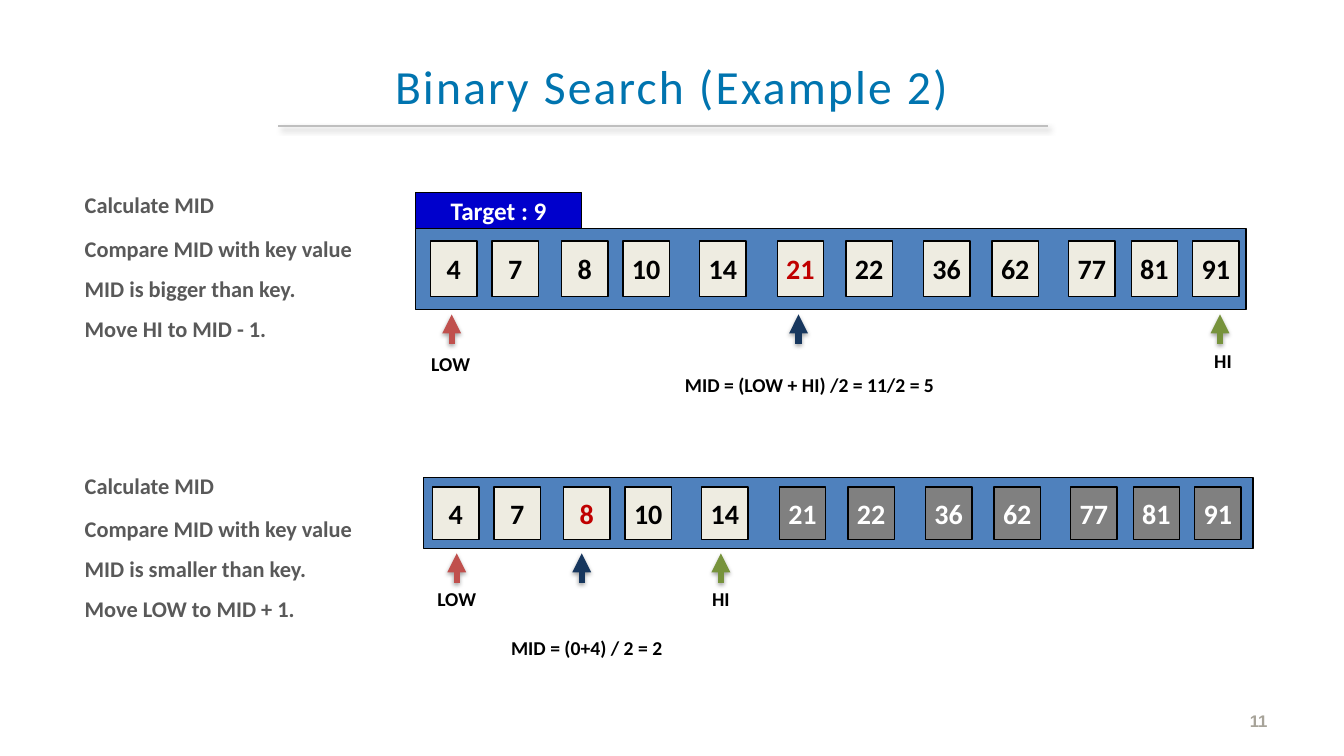
from lxml.etree import SubElement
from pptx import Presentation
from pptx.dml.color import RGBColor
from pptx.enum.shapes import MSO_CONNECTOR as CONNECTOR, MSO_SHAPE as SHAPE
from pptx.enum.text import MSO_ANCHOR as ANCHOR, MSO_AUTO_SIZE as AUTO_SIZE, PP_ALIGN as ALIGN
from pptx.oxml.ns import qn
from pptx.util import Inches, Pt

BLACK = RGBColor(0x00, 0x00, 0x00)
WHITE = RGBColor(0xFF, 0xFF, 0xFF)
TITLE_BLUE = RGBColor(0x00, 0x74, 0xAF)
RULE_GREY = RGBColor(0xBF, 0xBF, 0xBF)
STEP_GREY = RGBColor(0x59, 0x59, 0x59)
NUMBER_GREY = RGBColor(0xA7, 0xA3, 0x99)
ARRAY_BLUE = RGBColor(0x4F, 0x81, 0xBD)
TARGET_BLUE = RGBColor(0x00, 0x00, 0xCC)
CELL_CREAM = RGBColor(0xEE, 0xEC, 0xE1)
DROPPED_GREY = RGBColor(0x80, 0x80, 0x80)
MID_RED = RGBColor(0xC0, 0x00, 0x00)
LOW_RED = RGBColor(0xC0, 0x50, 0x4D)
MID_NAVY = RGBColor(0x17, 0x37, 0x5E)
HI_GREEN = RGBColor(0x77, 0x93, 0x3C)

VALUES = (4, 7, 8, 10, 14, 21, 22, 36, 62, 77, 81, 91)
CELL_OFFSETS = (0, 0.61, 1.3, 1.91, 2.67, 3.44, 4.12, 4.89, 5.57, 6.33, 6.95, 7.56)
CELL_WIDTH = 0.46
STEP_GAPS = (0, 12, 9.2, 9.2)

ROUNDS = (
    {
        "array": (4.12, 2.27, 8.24, 0.8), "cells": (4.27, 2.39, 0.55),
        "mid": 5, "hi": 11,
        "arrows": ((4.48, LOW_RED), (7.92, MID_NAVY), (12.1, HI_GREEN)), "arrow_top": 3.12,
        "labels": (("LOW", 3.74, 3.44, 1.46), ("HI", 11.4, 3.41, 1.46),
                   ("MID = (LOW + HI) /2 = 11/2 = 5", 5.74, 3.65, 4.58)),
        "steps": ("Calculate MID", "Compare MID with key value",
                  "MID is bigger than key.", "Move HI to MID - 1."),
        "steps_top": 1.85,
    },
    {
        "array": (4.2, 4.74, 8.23, 0.7), "cells": (4.29, 4.83, 0.52),
        "mid": 2, "hi": 4,
        "arrows": ((4.53, LOW_RED), (5.77, MID_NAVY), (7.15, HI_GREEN)), "arrow_top": 5.49,
        "labels": (("LOW", 3.8, 5.77, 1.46), ("HI", 6.68, 5.77, 0.94),
                   ("MID = (0+4) / 2 = 2", 4.61, 6.26, 2.42)),
        "steps": ("Calculate MID", "Compare MID with key value",
                  "MID is smaller than key.", "Move LOW to MID + 1."),
        "steps_top": 4.63,
    },
)


def set_all(target, formats):
    for name, value in formats.items():
        setattr(target, name, value)


def write(paragraph, text, size, color, align=ALIGN.CENTER, bold=True, font="Calibri"):
    run = paragraph.add_run()
    run.text = text
    paragraph.alignment = align
    set_all(run.font, {"name": font, "size": Pt(size), "bold": bold})
    run.font.color.rgb = color
    return run


def place(shape, left, top, width, height):
    set_all(shape, {"left": Inches(left), "top": Inches(top),
                    "width": Inches(width), "height": Inches(height)})


def add_box(shapes, box, fill, text="", size=20, color=BLACK):
    rect = shapes.add_shape(SHAPE.RECTANGLE, *map(Inches, box))
    rect.shadow.inherit = False
    rect.fill.solid()
    rect.fill.fore_color.rgb = fill
    rect.line.color.rgb = BLACK
    rect.line.width = Pt(1)
    if text:
        set_all(rect.text_frame, {"word_wrap": False, "vertical_anchor": ANCHOR.MIDDLE})
        write(rect.text_frame.paragraphs[0], text, size, color)


def add_label(slide, text, left, top, width, height=0.34, size=14, color=BLACK, **formats):
    label = slide.shapes.add_textbox(*map(Inches, (left, top, width, height)))
    set_all(label.text_frame, {"word_wrap": True, "vertical_anchor": ANCHOR.MIDDLE})
    write(label.text_frame.paragraphs[0], text, size, color, **formats)


def add_line(slide, start, end, color, width, shadow, arrow=False):
    line = slide.shapes.add_connector(CONNECTOR.STRAIGHT, *map(Inches, start + end))
    line.line.color.rgb = color
    line.line.width = Pt(width)
    if arrow:
        SubElement(line.line._get_or_add_ln(), qn("a:tailEnd"), type="triangle")
    # Soft black shadow: opacity in percent, blur and distance in points, angle in degrees
    opacity, blur, distance, angle = shadow
    effects = SubElement(line._element.spPr, qn("a:effectLst"))
    outer = SubElement(effects, qn("a:outerShdw"), blurRad=str(Pt(blur)), dist=str(Pt(distance)),
                       dir=str(angle * 60000), algn="ctr", rotWithShape="0")
    black = SubElement(outer, qn("a:srgbClr"), val=str(BLACK))
    SubElement(black, qn("a:alpha"), val=str(opacity * 1000))


def add_title(slide, text):
    title = slide.shapes.title
    place(title, 0, 0, 13.33, 1.76)
    set_all(title.text_frame, {
        "vertical_anchor": ANCHOR.MIDDLE, "word_wrap": True, "auto_size": AUTO_SIZE.NONE,
        "margin_left": Inches(0.5), "margin_right": Inches(0.5),
    })
    paragraph = title.text_frame.paragraphs[0]
    paragraph.line_spacing = 0.9
    run = write(paragraph, text, 34, TITLE_BLUE, bold=False)
    run.font._element.set("spc", "160")
    add_line(slide, (2.76, 1.25), (10.39, 1.25), RULE_GREY, 1, (40, 4, 3, 45))


def fill_steps(body, steps, top):
    place(body, 0.74, top, 3.24, 1.62)
    frame = body.text_frame
    set_all(frame, {"vertical_anchor": ANCHOR.TOP, "word_wrap": True,
                    "auto_size": AUTO_SIZE.NONE})
    for index, (step, gap) in enumerate(zip(steps, STEP_GAPS)):
        paragraph = frame.add_paragraph() if index else frame.paragraphs[0]
        write(paragraph, step, 16, STEP_GREY, align=ALIGN.JUSTIFY)
        paragraph.space_before = Pt(gap)
        properties = paragraph._p.get_or_add_pPr()
        properties.set("marL", "0")
        properties.set("indent", "0")
        SubElement(properties, qn("a:buNone"))


def add_array(slide, array, cells, mid, hi):
    shapes = slide.shapes.add_group_shape().shapes
    add_box(shapes, array, ARRAY_BLUE)
    left, top, height = cells
    for index, (value, offset) in enumerate(zip(VALUES, CELL_OFFSETS)):
        dropped = index > hi
        color = MID_RED if index == mid else WHITE if dropped else BLACK
        add_box(shapes, (left + offset, top, CELL_WIDTH, height),
                DROPPED_GREY if dropped else CELL_CREAM, str(value), color=color)


def add_round(slide, search, body):
    add_array(slide, search["array"], search["cells"], search["mid"], search["hi"])
    top = search["arrow_top"]
    for x, color in search["arrows"]:
        add_line(slide, (x, top + 0.29), (x, top), color, 4.5, (35, 3.1, 1.8, 90), arrow=True)
    for label in search["labels"]:
        add_label(slide, *label)
    fill_steps(body, search["steps"], search["steps_top"])


def main():
    deck = Presentation()
    set_all(deck, {"slide_width": Inches(13.33), "slide_height": Inches(7.5)})
    # Layout with a title and two content placeholders
    slide = deck.slides.add_slide(deck.slide_layouts[3])
    add_title(slide, "Binary Search (Example 2)")

    # Two rounds of the search
    bodies = [slide.placeholders[1], slide.placeholders[2]]
    for search, body in zip(ROUNDS, bodies):
        add_round(slide, search, body)
    add_box(slide.shapes, (4.12, 1.91, 1.65, 0.36), TARGET_BLUE, "Target : 9", 18, WHITE)

    # Slide number
    add_label(slide, "11", 9.56, 6.95, 3.11, 0.4, 12, NUMBER_GREY,
              align=ALIGN.RIGHT, font="Arial")
    deck.save("out.pptx")


if __name__ == "__main__":
    main()
